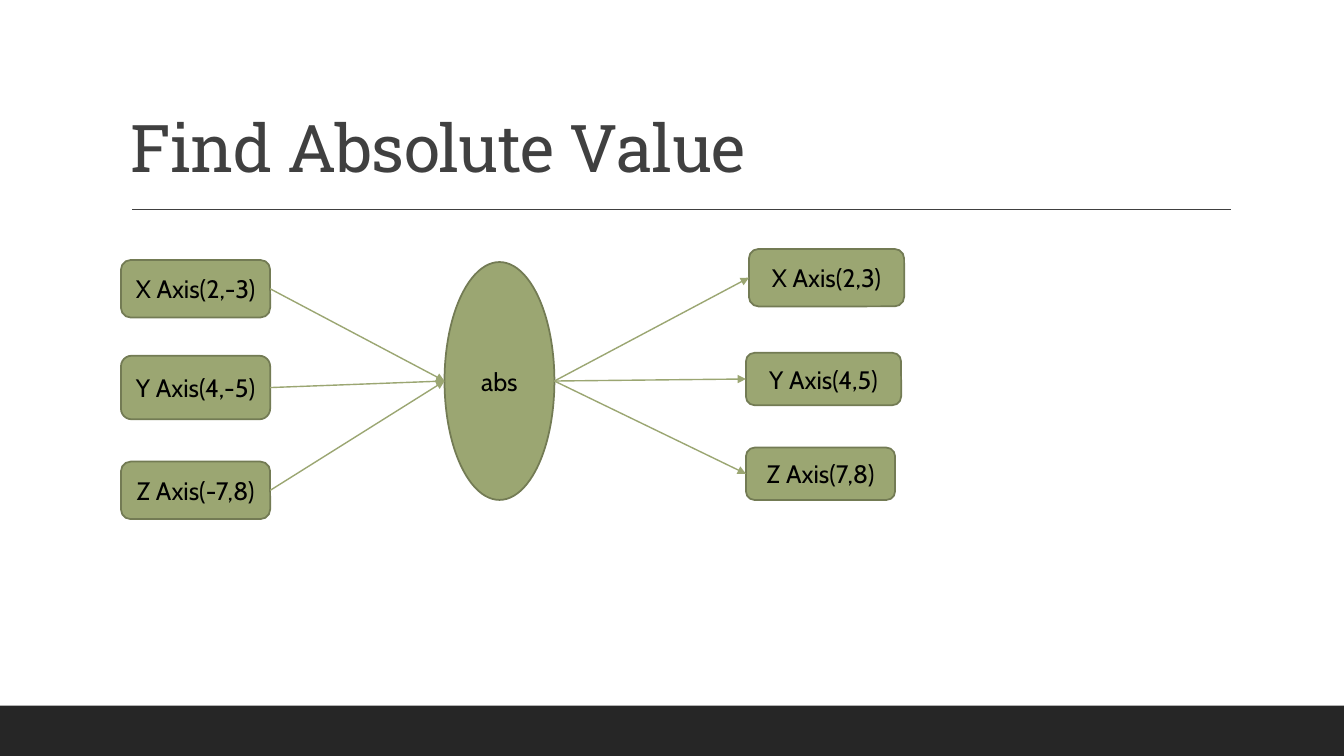
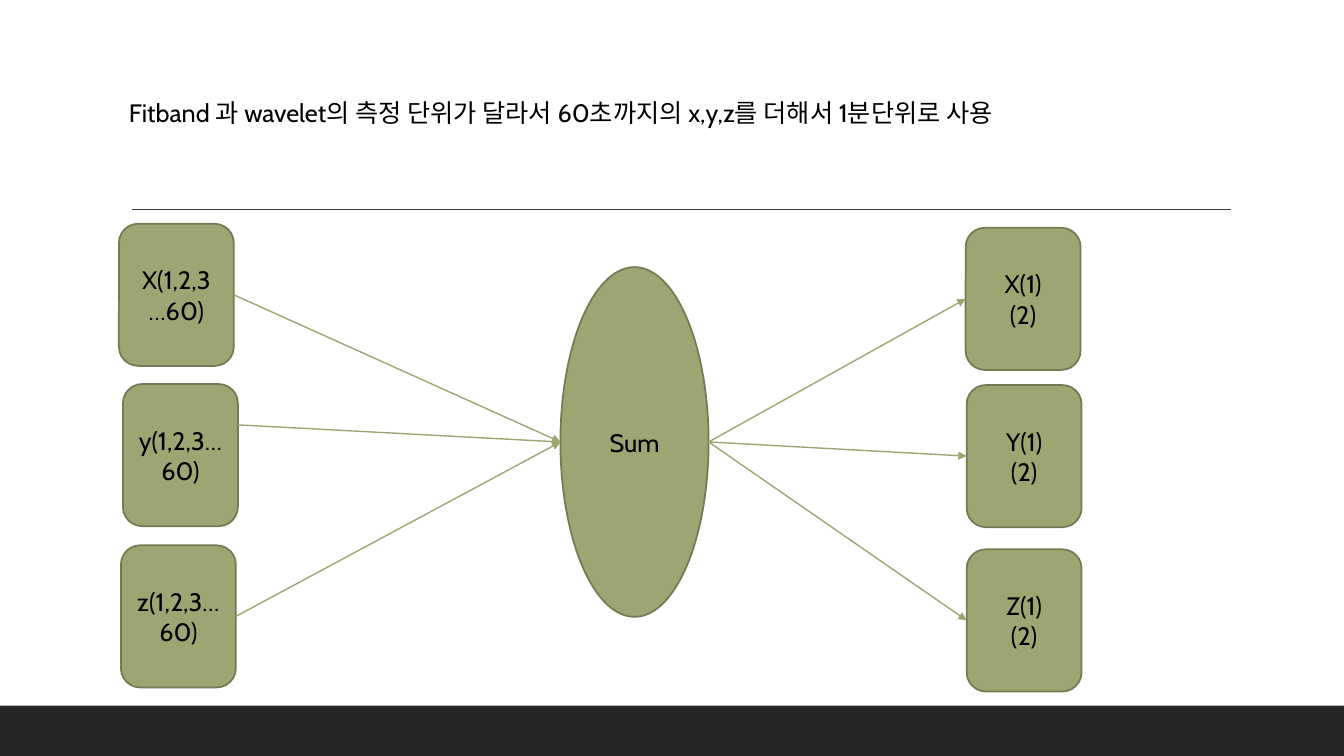
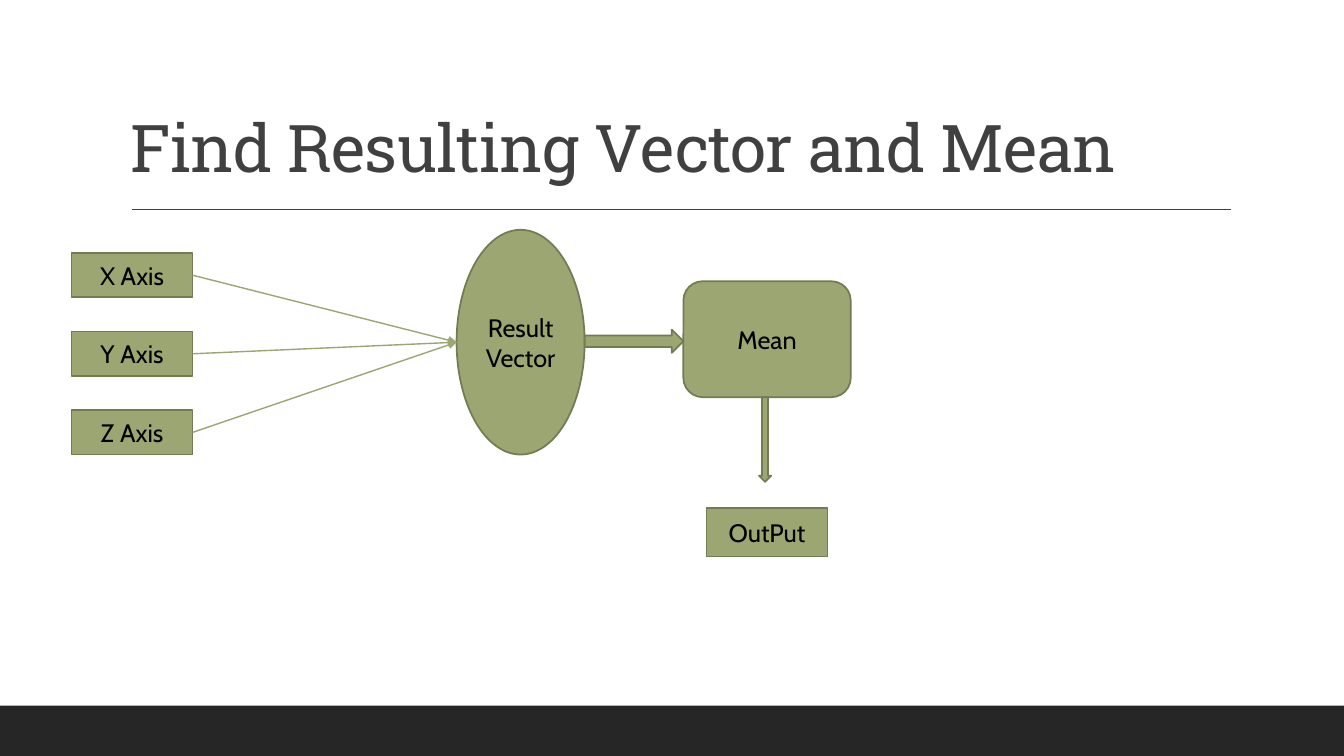
from lxml import etree
from pptx import Presentation
from pptx.dml.color import RGBColor
from pptx.enum.shapes import MSO_CONNECTOR, MSO_SHAPE
from pptx.enum.text import MSO_ANCHOR, PP_ALIGN
from pptx.oxml.ns import qn
from pptx.util import Inches, Pt

RECT = MSO_SHAPE.RECTANGLE
ROUND = MSO_SHAPE.ROUNDED_RECTANGLE
OVAL = MSO_SHAPE.OVAL
RIGHT = MSO_SHAPE.RIGHT_ARROW
DOWN = MSO_SHAPE.DOWN_ARROW
LINE = MSO_CONNECTOR.STRAIGHT
CENTER = PP_ALIGN.CENTER
MIDDLE = MSO_ANCHOR.MIDDLE
BOTTOM = MSO_ANCHOR.BOTTOM

COLS, ROWS = 133.33, 75
COLORS = {
    "band": "262626",
    "title": "404040",
    "fill": "9BA672",
    "edge": "737B54",
    "text": "000000",
}
HEAD, BODY = "Roboto Slab", "Cabin"


def cell(count):
    return Inches(count / 10)


def tint(name):
    return RGBColor.from_string(COLORS[name])


class Deck:
    def __init__(self):
        self.show = Presentation()
        self.show.slide_width = cell(COLS)
        self.show.slide_height = cell(ROWS)
        self.slide = None

    def page(self, title=None):
        self.slide = self.show.slides.add_slide(self.show.slide_layouts[6])
        self.shape(RECT, (0, 70, COLS, 5), "band")
        self.line((13.1, 20.8), (122.1, 20.8), "title")
        if title:
            self.title(title)

    def words(self, frame, text, font=BODY, size=18, color="text", align=None):
        frame.word_wrap = True
        frame.text = text
        for para in frame.paragraphs:
            para.alignment = align
            para.font.name = font
            para.font.size = Pt(size)
            para.font.color.rgb = tint(color)

    def label(self, box, text, **style):
        frame = self.slide.shapes.add_textbox(*map(cell, box)).text_frame
        self.words(frame, text, **style)
        return frame

    def title(self, text):
        frame = self.label((12, 3.1, 110, 15.9), text, font=HEAD, size=47, color="title")
        frame.vertical_anchor = BOTTOM
        para = frame.paragraphs[0]
        para.line_spacing = 0.9
        para.runs[0].font._element.set("spc", "-50")

    def shape(self, kind, box, fill="fill", edge=None):
        item = self.slide.shapes.add_shape(kind, *map(cell, box))
        item.shadow.inherit = False
        item.fill.solid()
        item.fill.fore_color.rgb = tint(fill)
        if edge:
            item.line.color.rgb = tint(edge)
            item.line.width = Pt(1.25)
        else:
            item.line.fill.background()
        return item

    def node(self, kind, box, text):
        item = self.shape(kind, box, edge="edge")
        item.text_frame.vertical_anchor = MIDDLE
        self.words(item.text_frame, text, align=CENTER)

    def line(self, start, end, color="fill", arrow=False):
        ends = map(cell, (*start, *end))
        item = self.slide.shapes.add_connector(LINE, *ends)
        item.line.color.rgb = tint(color)
        item.line.width = Pt(1)
        props = item._element.spPr
        etree.SubElement(props, qn("a:effectLst"))
        if arrow:
            tail = etree.SubElement(props.find(qn("a:ln")), qn("a:tailEnd"))
            tail.set("type", "triangle")

    def link(self, left, right, lift=0):
        start = left[0] + left[2], left[1] + left[3] / 2 - lift
        end = right[0], right[1] + right[3] / 2
        self.line(start, end, arrow=True)

    def flow(self, hub, name, ins, outs=(), kind=ROUND):
        self.node(OVAL, hub, name)
        for text, box, *lift in ins:
            self.node(kind, box, text)
            self.link(box, hub, *lift)
        for text, box in outs:
            self.node(kind, box, text)
            self.link(hub, box)


def main():
    deck = Deck()

    deck.page("Find Absolute Value")
    deck.flow(
        (44.1, 26, 10.9, 23.6), "abs",
        [("X Axis(2,-3)", (12, 25.8, 14.8, 5.7)),
         ("Y Axis(4,-5)", (12, 35.3, 14.8, 6.3)),
         ("Z Axis(-7,8)", (12, 45.8, 14.8, 5.7))],
        [("X Axis(2,3)", (74.3, 24.7, 15.4, 5.7)),
         ("Y Axis(4,5)", (74, 35, 15.4, 5.2)),
         ("Z Axis(7,8)", (74, 44.4, 14.8, 5.2))],
    )

    deck.page()
    deck.label(
        (11.8, 9.2, 90, 7),
        "Fitband 과 wavelet의 측정 단위가 달라서 60초까지의 x,y,z를 더해서 1분단위로 사용",
    )
    size = 11.4, 14.1
    deck.flow(
        (55.6, 26.5, 14.7, 34.7), "Sum",
        [("X(1,2,3…60)", (11.8, 22.2, *size)),
         ("y(1,2,3…60)", (12.2, 38.1, *size), 3),
         ("z(1,2,3…60)", (12, 54.1, *size))],
        [("X(1)\n(2)", (95.8, 22.6, *size)),
         ("Y(1)\n(2)", (95.9, 38.2, *size)),
         ("Z(1)\n(2)", (95.9, 54.5, *size))],
    )

    deck.page("Find Resulting Vector and Mean")
    deck.flow(
        (45.3, 22.8, 12.7, 22.3), "Result Vector",
        [(f"{axis} Axis", (7.1, 25.1 + 7.8 * row, 12, 4.4))
         for row, axis in enumerate("XYZ")],
        kind=RECT,
    )
    deck.node(ROUND, (67.8, 27.9, 16.6, 11.5), "Mean")
    deck.shape(RIGHT, (58, 32.7, 9.8, 2.3), edge="edge")
    deck.shape(DOWN, (75.3, 39.4, 1.2, 8.4), edge="edge")
    deck.node(RECT, (70.1, 50.4, 12, 4.8), "OutPut")

    deck.show.save("out.pptx")


if __name__ == "__main__":
    main()
